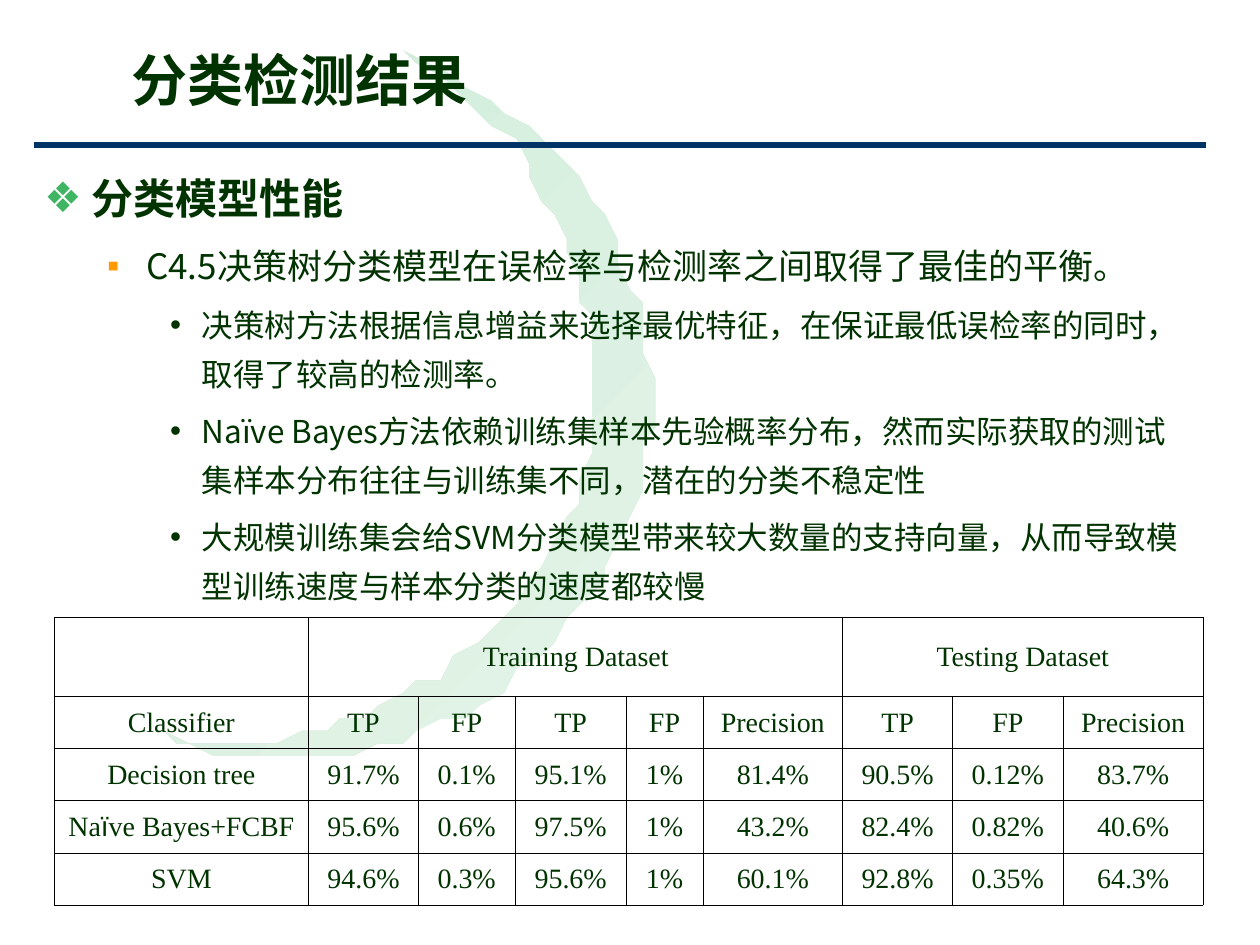
import lxml.etree
import pptx
import pptx.dml.color
import pptx.enum.shapes
import pptx.enum.text
import pptx.oxml.ns
import pptx.util

# The slide is a grid of 100 columns by 75 rows.
COLS, ROWS = 100, 75
UNIT = pptx.util.Inches(0.1)
INK = {"text": "003300", "rule": "003366", "green": "3FB564",
       "orange": "FF9900", "edge": "000000",
       "pale": "D1EDDA", "mist": "E3F4E8"}
SANS, SERIF = "Noto Sans CJK SC", "Times New Roman"

# Level: left, hanging indent, size, space before, bullet, bullet colour
LEVELS = [(3.8, 3.8, 24, 6, "❖", "green"),
          (8.1, 3.1, 20, 5, "▪", "orange"),
          (12.5, 2.5, 18, 4.5, "•", "text")]
POINTS = [
    (0, "分类模型性能"),
    (1, "C4.5决策树分类模型在误检率与检测率之间取得了最佳的平衡。"),
    (2, "决策树方法根据信息增益来选择最优特征，在保证最低误检率的同时，取得了较高的检测率。"),
    (2, "Naïve Bayes方法依赖训练集样本先验概率分布，然而实际获取的测试集样本分布往往与训练集不同，潜在的分类不稳定性"),
    (2, "大规模训练集会给SVM分类模型带来较大数量的支持向量，从而导致模型训练速度与样本分类的速度都较慢"),
]

WIDTHS = [20.2, 8.7, 7.7, 8.8, 6.1, 11.1, 8.7, 8.8, 11.1]
HEIGHTS = [6.3] + [4.13] * 4
SPANS = [(1, 5), (6, 8)]
DATA = [
    ["", "Training Dataset", "", "", "", "", "Testing Dataset", "", ""],
    ["Classifier", "TP", "FP", "TP", "FP", "Precision", "TP", "FP", "Precision"],
    ["Decision tree", "91.7%", "0.1%", "95.1%", "1%", "81.4%", "90.5%", "0.12%", "83.7%"],
    ["Naïve Bayes+FCBF", "95.6%", "0.6%", "97.5%", "1%", "43.2%", "82.4%", "0.82%", "40.6%"],
    ["SVM", "94.6%", "0.3%", "95.6%", "1%", "60.1%", "92.8%", "0.35%", "64.3%"],
]

# Crescent: start, then the three points of each curve
START = (12.9, 58.5)
CURVES = [[(25, 61), (40.5, 53.9), (45.5, 39.5)],
          [(50.6, 25.2), (43, 9.9), (32, 4.3)],
          [(47.1, 9.6), (55.2, 26.2), (50, 41.1)],
          [(44.8, 56), (28, 63.8), (12.9, 58.5)]]


def grid(*cells):
    return [round(n * UNIT) for n in cells]


def tint(name):
    return pptx.dml.color.RGBColor.from_string(INK[name])


def add(parent, tag, **attrs):
    return lxml.etree.SubElement(parent, pptx.oxml.ns.qn(tag), attrs)


def style(para, face, size, bold=False):
    font = para.font
    font.name, font.size, font.bold = face, pptx.util.Pt(size), bold
    font.color.rgb = tint("text")
    if face != SERIF:
        add(para._p.pPr.find(pptx.oxml.ns.qn("a:defRPr")), "a:ea", typeface=face)


def place(shape, *cells):
    """Move a placeholder, and bring it in front of what is drawn so far."""
    shape.left, shape.top, shape.width, shape.height = grid(*cells)
    tree = shape._element.getparent()
    tree.append(shape._element)
    frame = shape.text_frame
    frame.word_wrap = True
    frame.auto_size = pptx.enum.text.MSO_AUTO_SIZE.NONE
    frame.vertical_anchor = pptx.enum.text.MSO_ANCHOR.TOP
    return frame


def trace(steps=24):
    """Sample the cubic curves of the crescent."""
    here, dots = START, []
    for a, b, end in CURVES:
        for i in range(1, steps + 1):
            t = i / steps
            s = 1 - t
            dots.append(tuple(
                s**3 * p + 3 * s * s * t * q + 3 * s * t * t * r + t**3 * z
                for p, q, r, z in zip(here, a, b, end)))
        here = end
    return dots


def draw_moon(slide):
    pen = slide.shapes.build_freeform(*START, scale=UNIT)
    pen.add_line_segments(trace(), close=True)
    moon = pen.convert_to_shape()
    moon.shadow.inherit = False
    moon.line.fill.background()
    moon.fill.gradient()
    moon.fill.gradient_angle = 315
    for stop, name in zip(moon.fill.gradient_stops, ["pale", "mist"]):
        stop.color.rgb = tint(name)


def draw_rule(slide):
    kind = pptx.enum.shapes.MSO_CONNECTOR.STRAIGHT
    rule = slide.shapes.add_connector(kind, *grid(2.7, 11.5, 95.7, 11.5))
    rule.line.color.rgb = tint("rule")
    rule.line.width = pptx.util.Pt(3)
    add(rule._element.spPr, "a:effectLst")


def write_list(frame):
    for i, (level, text) in enumerate(POINTS):
        left, hang, size, gap, mark, hue = LEVELS[level]
        para = frame.add_paragraph() if i else frame.paragraphs[0]
        para.text, para.level = text, level
        props = para._p.get_or_add_pPr()
        props.set("marL", str(round(left * UNIT)))
        props.set("indent", str(round(-hang * UNIT)))
        add(add(props, "a:buClr"), "a:srgbClr", val=INK[hue])
        add(props, "a:buFont", typeface="Arial")
        add(props, "a:buChar", char=mark)
        para.line_spacing = 1.3
        para.space_before = pptx.util.Pt(gap if i else 0)
        style(para, SANS, size, level == 0)


def write_title(frame):
    para = frame.paragraphs[0]
    para.text = "分类检测结果"
    para.alignment = pptx.enum.text.PP_ALIGN.LEFT
    style(para, "DejaVu Sans", 32, True)


def edge(cell):
    props = cell._tc.get_or_add_tcPr()
    for side in ("a:lnL", "a:lnR", "a:lnT", "a:lnB"):
        line = add(props, side, w=str(pptx.util.Pt(0.45)))
        add(add(line, "a:solidFill"), "a:srgbClr", val=INK["edge"])


def fill_cell(cell, text):
    edge(cell)
    cell.fill.background()
    cell.vertical_anchor = pptx.enum.text.MSO_ANCHOR.MIDDLE
    para = cell.text_frame.paragraphs[0]
    para.alignment = pptx.enum.text.PP_ALIGN.CENTER
    style(para, SERIF, 16)
    head, mark, tail = text.partition("ï")
    for part in filter(None, (head, mark, tail)):
        run = para.add_run()
        run.text = part
        if part == "ï":
            run.font.name = "Arial"


def draw_table(slide):
    box = grid(4.3, 49, sum(WIDTHS), sum(HEIGHTS))
    table = slide.shapes.add_table(len(HEIGHTS), len(WIDTHS), *box).table
    table.first_row = table.horz_banding = False
    for col, width in zip(table.columns, grid(*WIDTHS)):
        col.width = width
    for row, height in zip(table.rows, grid(*HEIGHTS)):
        row.height = height
    for r, line in enumerate(DATA):
        for c, text in enumerate(line):
            fill_cell(table.cell(r, c), text)
    for first, last in SPANS:
        table.cell(0, first).merge(table.cell(0, last))


def main():
    deck = pptx.Presentation()
    deck.slide_width, deck.slide_height = grid(COLS, ROWS)
    slide = deck.slides.add_slide(deck.slide_layouts[1])
    title, body = slide.placeholders
    draw_moon(slide)
    draw_rule(slide)
    write_list(place(body, 2.5, 12, 93.4, 37))
    write_title(place(title, 9.4, 3.1, 67.8, 8.4))
    draw_table(slide)
    deck.save("out.pptx")


if __name__ == "__main__":
    main()
